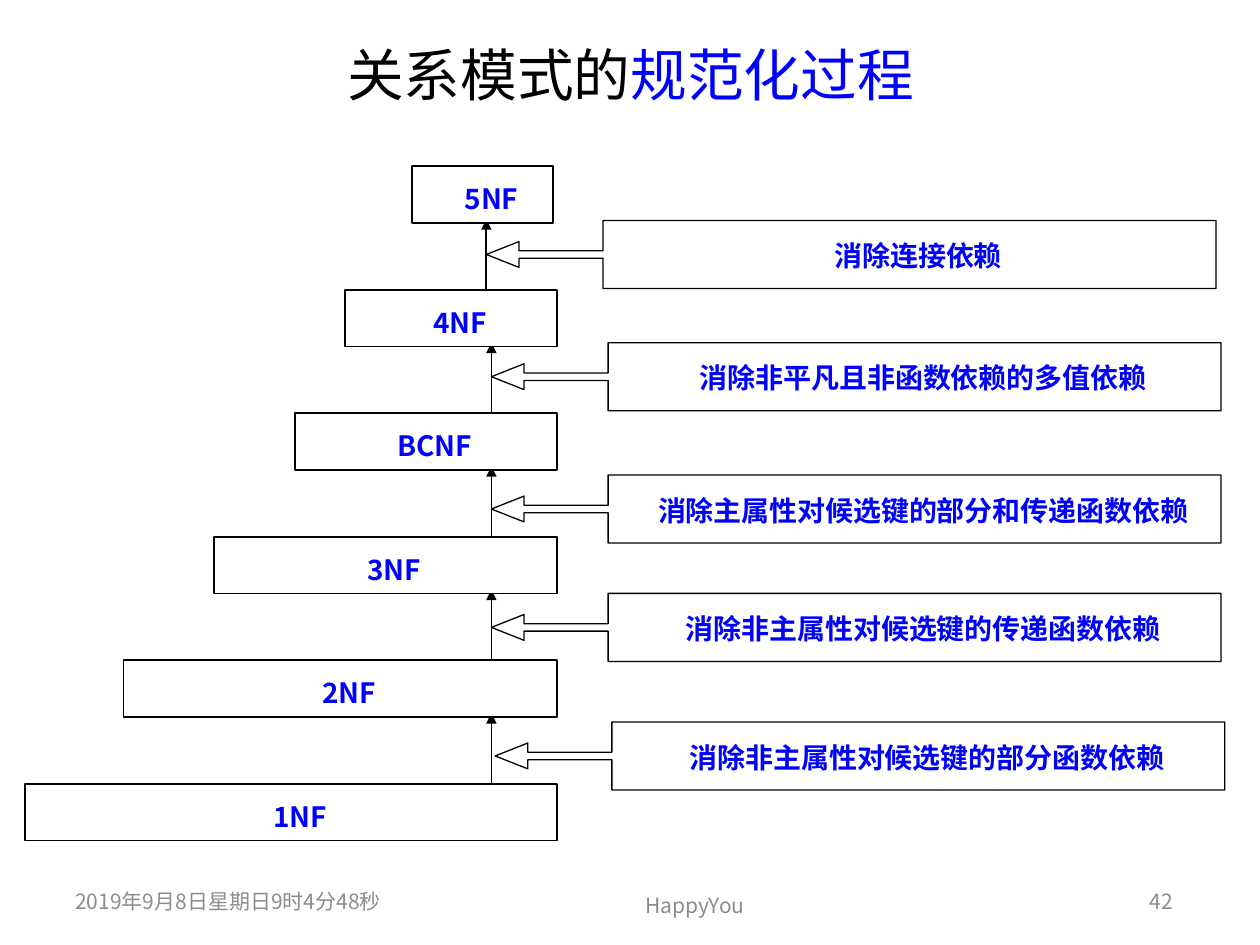
from lxml.etree import SubElement
from pptx import Presentation
from pptx.dml.color import RGBColor
from pptx.enum.shapes import MSO_CONNECTOR, MSO_SHAPE
from pptx.enum.text import MSO_ANCHOR, PP_ALIGN
from pptx.oxml.ns import qn
from pptx.util import Pt

PX = 9144  # 100 px to the inch
FONT = "Noto Sans CJK SC"
BLACK = RGBColor(0x00, 0x00, 0x00)
WHITE = RGBColor(0xFF, 0xFF, 0xFF)
BLUE = RGBColor(0x00, 0x00, 0xFF)
GRAY = RGBColor(0x8C, 0x8C, 0x8C)

RIGHT, TALL, STEP, BASE = 442, 45, 98, 622
# name, left, right, x of the arrow that leads up to this form
FORMS = [
    ("1NF", 20, RIGHT, None),
    ("2NF", 98, RIGHT, 390),
    ("3NF", 170, RIGHT, 390),
    ("BCNF", 234, RIGHT, 390),
    ("4NF", 274, RIGHT, 390),
    ("5NF", 327, 439, 386),
]
# text, left, top
NOTES = [
    ("消除连接依赖", 386, 175),
    ("消除非平凡且非函数依赖的多值依赖", 390, 272),
    ("消除主属性对候选键的部分和传递函数依赖", 390, 377),
    ("消除非主属性对候选键的传递函数依赖", 390, 471),
    ("消除非主属性对候选键的部分函数依赖", 393, 573),
]
FOOTS = [
    ("2019年9月8日星期日9时4分48秒", (50, 695, 300, 40), PP_ALIGN.LEFT),
    ("HappyYou", (429, 698, 245, 40), PP_ALIGN.CENTER),
    ("42", (717, 695, 224, 40), PP_ALIGN.RIGHT),
]
LABEL = {"size": Pt(16), "bold": True}
SMALL = {"size": Pt(12)}
HEAD = {"size": Pt(32.4)}


def emu(*sizes):
    return [size * PX for size in sizes]


def add_run(para, text, color, style):
    run = para.add_run()
    run.text = text
    run.font.name = FONT
    run.font.color.rgb = color
    for key, value in style.items():
        setattr(run.font, key, value)
    SubElement(run.font._element, qn("a:ea"), typeface=FONT)


def add_title(slide):
    title = slide.shapes.title
    title.left, title.top, title.width, title.height = emu(51, 36, 899, 46)
    frame = title.text_frame
    frame.vertical_anchor = MSO_ANCHOR.MIDDLE
    para = frame.paragraphs[0]
    para.alignment = PP_ALIGN.CENTER
    add_run(para, "关系模式的", BLACK, HEAD)
    add_run(para, "规范化过程", BLUE, HEAD)


def add_foot(slide, text, area, align):
    frame = slide.shapes.add_textbox(*emu(*area)).text_frame
    frame.word_wrap = True
    frame.vertical_anchor = MSO_ANCHOR.MIDDLE
    para = frame.paragraphs[0]
    para.alignment = align
    add_run(para, text, GRAY, SMALL)


def add_block(slide, kind, text, area, weight):
    shape = slide.shapes.add_shape(kind, *emu(*area))
    shape.shadow.inherit = False
    shape.fill.solid()
    shape.fill.fore_color.rgb = WHITE
    shape.line.color.rgb = BLACK
    shape.line.width = Pt(weight)
    frame = shape.text_frame
    frame.word_wrap = True
    frame.vertical_anchor = MSO_ANCHOR.TOP
    para = frame.paragraphs[0]
    para.alignment = PP_ALIGN.CENTER
    para.line_spacing = Pt(26)
    para._p.get_or_add_pPr().set("indent", str(14 * PX))
    add_run(para, text, BLUE, LABEL)
    return shape


def add_form(slide, text, left, top, right):
    area = (left, top, right - left, TALL)
    frame = add_block(slide, MSO_SHAPE.RECTANGLE, text, area, 1).text_frame
    frame.margin_left = frame.margin_right = 0
    frame.margin_top = frame.margin_bottom = 3 * PX


def add_arrow(slide, x, start, end):
    line = slide.shapes.add_connector(
        MSO_CONNECTOR.STRAIGHT, *emu(x, start, x, end))
    line.line.color.rgb = BLACK
    line.line.width = Pt(1)
    SubElement(line.line._get_or_add_ln(), qn("a:tailEnd"), type="triangle")
    SubElement(line._element.spPr, qn("a:effectLst"))


def add_note(slide, text, left, top):
    area = (left, top, 579, 54)
    note = add_block(slide, MSO_SHAPE.LEFT_ARROW_CALLOUT, text, area, 0.75)
    for i, value in enumerate((0.11, 0.19, 0.48, 0.84)):
        note.adjustments[i] = value


def main():
    deck = Presentation()
    deck.slide_width, deck.slide_height = emu(1000, 750)
    slide = deck.slides.add_slide(deck.slide_layouts[5])
    add_title(slide)
    for foot in FOOTS:
        add_foot(slide, *foot)
    for i, (name, left, right, x) in enumerate(FORMS):
        top = BASE - i * STEP
        if x:
            add_arrow(slide, x, top + STEP, top + 42)
        add_form(slide, name, left, top, right)
    for note in NOTES:
        add_note(slide, *note)
    deck.save("out.pptx")


if __name__ == "__main__":
    main()
